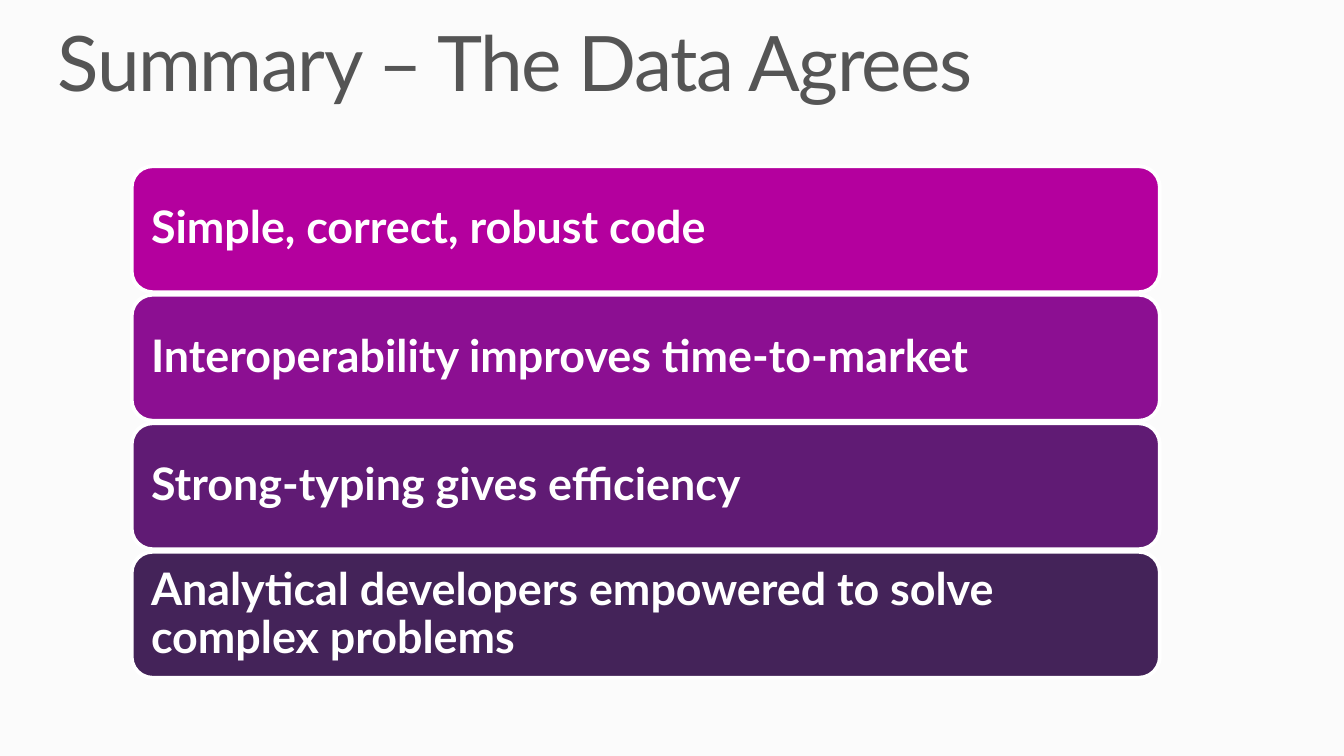
from dataclasses import dataclass

from pptx import Presentation
from pptx import util as u
from pptx.dml.color import RGBColor
from pptx.enum import shapes, text

WIDTH = u.Inches(10)
HEIGHT = WIDTH * 9 // 16
FONT = "Lato"

# Shares of the slide's width and height
BAR_LEFT, BAR_WIDTH = 0.098, 0.765
STACK_TOP, ROW_PITCH = 0.22, 0.17
ROW_FILL = 0.98  # part of each row that its bar covers


@dataclass(frozen=True)
class Bar:
    label: str
    fill: str


BARS = [
    Bar("Simple, correct, robust code", "B4009E"),
    Bar("Interoperability improves time-to-market", "8C0F92"),
    Bar("Strong-typing gives efficiency", "601B74"),
    Bar("Analytical developers empowered to solve complex problems", "442359"),
]


def rgb(color: str) -> RGBColor:
    return RGBColor.from_string(color)


def across(share: float) -> int:
    return round(WIDTH * share)


def down(share: float) -> int:
    return round(HEIGHT * share)


def write(tf, content: str, size: float, color: str, inset: float, bold: bool = False):
    """Fill a text frame with one left-aligned run and return the run."""
    tf.word_wrap = True
    tf.auto_size = text.MSO_AUTO_SIZE.NONE
    tf.margin_left = tf.margin_right = u.Inches(inset)
    tf.margin_top = tf.margin_bottom = u.Inches(inset)
    p = tf.paragraphs[0]
    p.alignment = text.PP_ALIGN.LEFT
    p.line_spacing = 0.9
    r = p.add_run()
    r.text = content
    r.font.name = FONT
    r.font.size = u.Pt(size)
    r.font.bold = bold
    r.font.color.rgb = rgb(color)
    return r


def draw_title(s, content: str) -> None:
    title = s.shapes.title
    title.left, title.top = u.Inches(0.43), u.Inches(0.19)
    title.width, title.height = u.Inches(9.15), u.Inches(0.62)
    r = write(title.text_frame, content, 41, "555555", inset=0)
    title.text_frame.vertical_anchor = text.MSO_ANCHOR.TOP
    r.font._element.set("spc", "-80")  # letter spacing in 1/100 pt


def draw_bar(s, bar: Bar, row: int) -> None:
    sp = s.shapes.add_shape(
        shapes.MSO_SHAPE.ROUNDED_RECTANGLE,
        across(BAR_LEFT), down(STACK_TOP + row * ROW_PITCH),
        across(BAR_WIDTH), down(ROW_PITCH * ROW_FILL),
    )
    sp.shadow.inherit = False
    sp.fill.solid()
    sp.fill.fore_color.rgb = rgb(bar.fill)
    sp.line.color.rgb = rgb("FFFFFF")
    sp.line.width = u.Pt(2)
    write(sp.text_frame, bar.label, 24, "FFFFFF", inset=0.1, bold=True)
    sp.text_frame.vertical_anchor = text.MSO_ANCHOR.MIDDLE


def main() -> None:
    prs = Presentation()
    prs.slide_width, prs.slide_height = WIDTH, HEIGHT
    s = prs.slides.add_slide(prs.slide_layouts.get_by_name("Title Only"))
    s.background.fill.solid()
    s.background.fill.fore_color.rgb = rgb("FBFBFB")
    draw_title(s, "Summary – The Data Agrees")
    for row, bar in enumerate(BARS):
        draw_bar(s, bar, row)
    prs.save("out.pptx")


if __name__ == "__main__":
    main()
